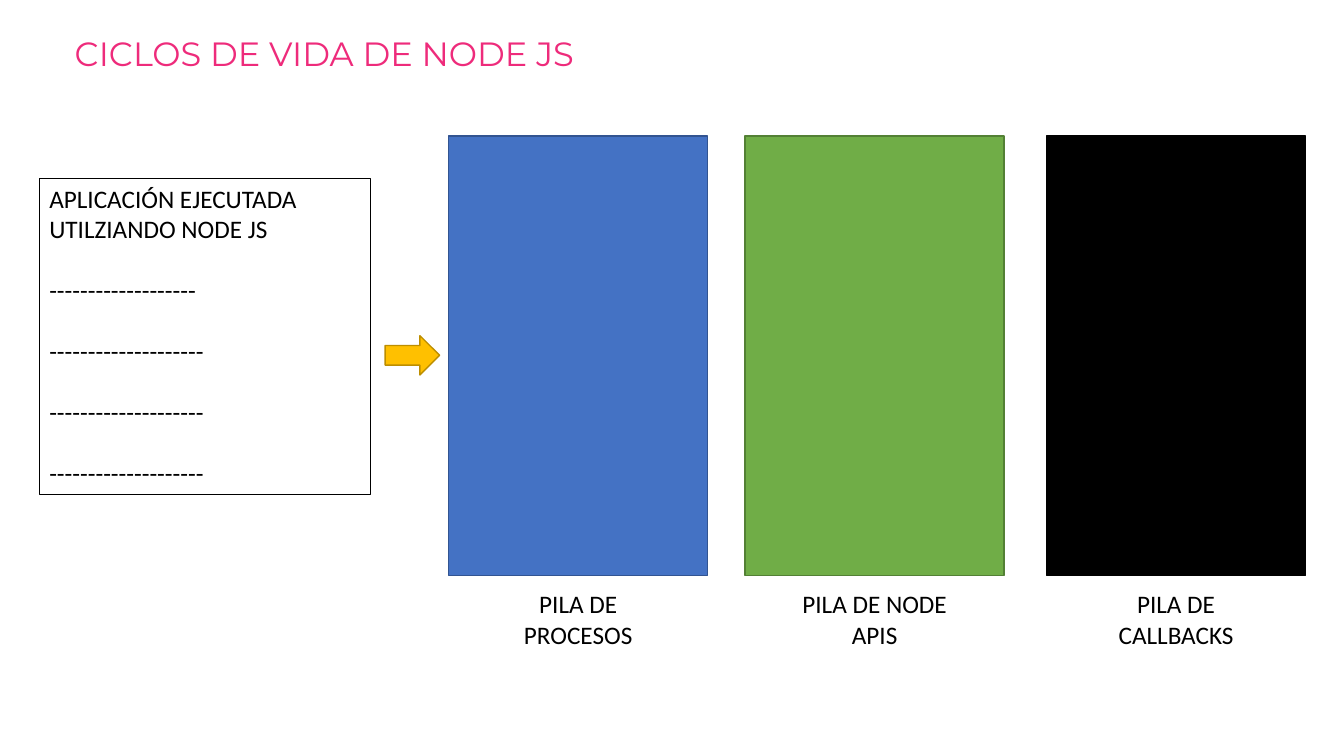
from pptx import Presentation
from pptx.dml.color import RGBColor
from pptx.enum.shapes import MSO_SHAPE
from pptx.enum.text import MSO_ANCHOR, PP_ALIGN
from pptx.util import Pt

SCALE = 9144
PINK = RGBColor(0xEE, 0x2B, 0x7B)
BLACK = RGBColor(0x00, 0x00, 0x00)
BLUE = RGBColor(0x44, 0x72, 0xC4)
NAVY = RGBColor(0x32, 0x54, 0x91)
GREEN = RGBColor(0x70, 0xAD, 0x47)
MOSS = RGBColor(0x53, 0x80, 0x35)
GOLD = RGBColor(0xFF, 0xC0, 0x00)
BRONZE = RGBColor(0xBD, 0x8E, 0x00)

STACKS = [
    (445, "PILA DE PROCESOS", BLUE, NAVY),
    (739, "PILA DE NODE APIS", GREEN, MOSS),
    (1038, "PILA DE CALLBACKS", BLACK, BLACK),
]
CODE = ["APLICACIÓN EJECUTADA UTILZIANDO NODE JS", "-" * 19] + ["-" * 20] * 3


def px(*sizes):
    return [size * SCALE for size in sizes]


def style(para, size, name, color):
    para.font.size = Pt(size)
    para.font.name = name
    para.font.color.rgb = color


def add_title(slide, text):
    title = slide.shapes.title
    title.left, title.top, title.width, title.height = px(64, 32, 1150, 145)
    frame = title.text_frame
    frame.text = text
    frame.word_wrap = True
    frame.vertical_anchor = MSO_ANCHOR.TOP
    para = frame.paragraphs[0]
    para.alignment = PP_ALIGN.LEFT
    para.line_spacing = 0.9
    style(para, 24, "Montserrat", PINK)


def add_block(slide, kind, box, fill, edge):
    block = slide.shapes.add_shape(kind, *px(*box))
    block.shadow.inherit = False
    block.fill.solid()
    block.fill.fore_color.rgb = fill
    block.line.color.rgb = edge
    block.line.width = Pt(1)


def add_text(slide, box, lines, align=PP_ALIGN.LEFT, gap=0):
    label = slide.shapes.add_textbox(*px(*box))
    frame = label.text_frame
    frame.word_wrap = True
    frame.text = "\n".join(lines)
    for index, para in enumerate(frame.paragraphs):
        para.alignment = align
        para.space_before = Pt(gap if index else 0)
        style(para, 18, "Calibri", BLACK)
    return label


def main():
    deck = Presentation()
    deck.slide_width, deck.slide_height = px(1333, 750)
    slide = deck.slides.add_slide(deck.slide_layouts[5])
    add_title(slide, "CICLOS DE VIDA DE NODE JS")

    code = add_text(slide, (39, 177, 328, 313), CODE, gap=22)
    code.line.color.rgb = BLACK
    code.line.width = Pt(0.25)

    for left, name, fill, edge in STACKS:
        add_block(slide, MSO_SHAPE.RECTANGLE, (left, 135, 257, 436), fill, edge)
        add_text(slide, (left + 32, 579, 193, 71), [name], PP_ALIGN.CENTER)

    add_block(slide, MSO_SHAPE.RIGHT_ARROW, (382, 333, 54, 39), GOLD, BRONZE)
    deck.save("out.pptx")


if __name__ == "__main__":
    main()
